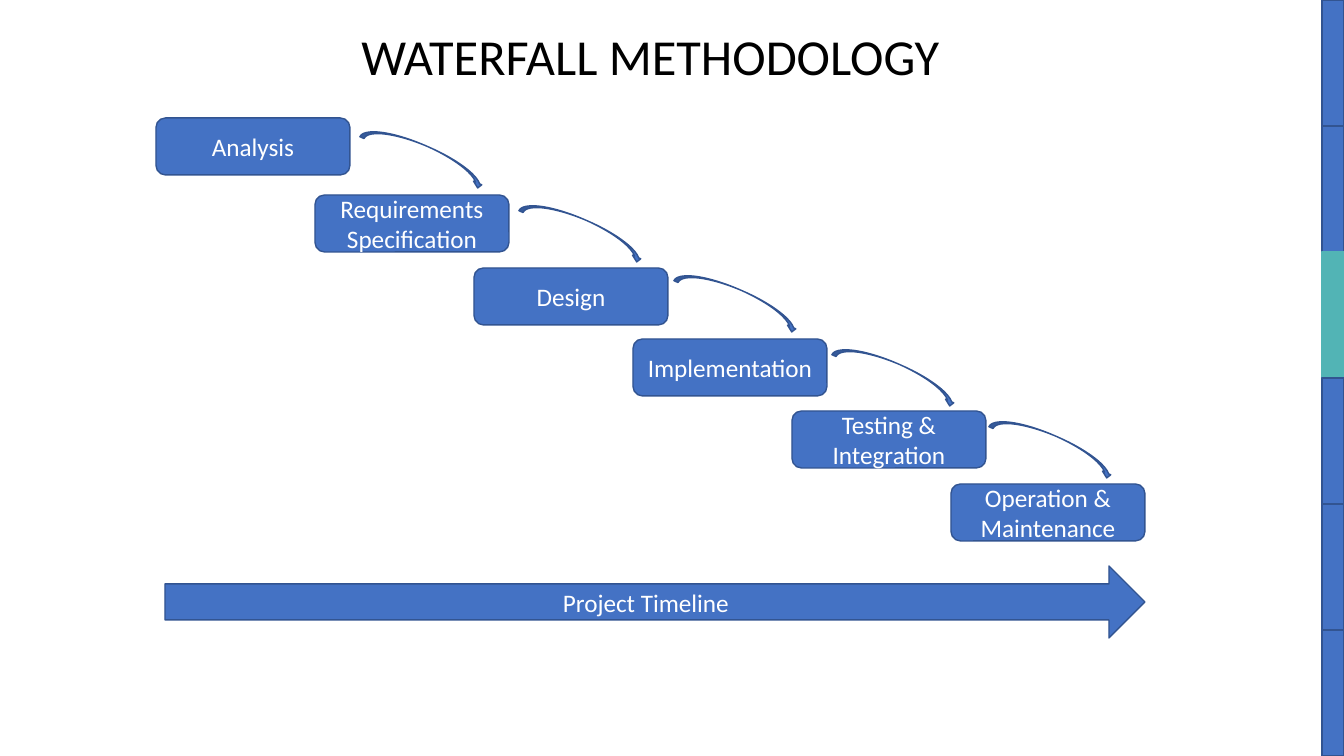
"""Build the waterfall methodology slide."""
from dataclasses import dataclass

from pptx import Presentation
from pptx.dml.color import RGBColor
from pptx.enum.shapes import MSO_SHAPE
from pptx.enum.text import MSO_ANCHOR, MSO_AUTO_SIZE, PP_ALIGN
from pptx.shapes.autoshape import Shape
from pptx.text.text import TextFrame
from pptx.util import Emu, Pt

SLIDE_WIDTH, SLIDE_HEIGHT = 1344, 756
EMU_PER_PX = 12192000 / SLIDE_WIDTH
FONT_NAME = "Calibri"
COLORS = {
    "blue": "4472C4",
    "outline": "325491",
    "teal": "52B4B5",
    "white": "FFFFFF",
    "black": "000000",
}

PHASE_LEFT, PHASE_STEP, PHASE_WIDTH, PHASE_HEIGHT = 156, 159, 194, 57
ARROW_WIDTH, ARROW_HEIGHT, ARROW_ROTATION = 133, 18, 23.5
BAR_LEFT, BAR_COUNT, ACTIVE_BAR = 1322, 6, 2


@dataclass(frozen=True)
class Box:
    left: int
    top: int
    width: int
    height: int


@dataclass(frozen=True)
class Phase:
    name: str
    top: int


@dataclass(frozen=True)
class ArrowPosition:
    left: int
    top: int


PHASES = [
    Phase("Analysis", 118),
    Phase("Requirements\nSpecification", 195),
    Phase("Design", 268),
    Phase("Implementation", 339),
    Phase("Testing &\nIntegration", 411),
    Phase("Operation &\nMaintenance", 484),
]
ARROWS = [
    ArrowPosition(358, 146),
    ArrowPosition(517, 220),
    ArrowPosition(672, 290),
    ArrowPosition(830, 364),
    ArrowPosition(987, 436),
]


def px(length: int) -> Emu:
    return Emu(round(length * EMU_PER_PX))


def color(name: str) -> RGBColor:
    return RGBColor.from_string(COLORS[name])


def write_text(frame: TextFrame, text: str, size: int, color_name: str) -> None:
    frame.text = text
    frame.word_wrap = True
    for paragraph in frame.paragraphs:
        paragraph.alignment = PP_ALIGN.CENTER
        paragraph.font.name = FONT_NAME
        paragraph.font.size = Pt(size)
        paragraph.font.color.rgb = color(color_name)


def add_block(shapes, kind: MSO_SHAPE, box: Box, text: str = "",
              fill: str = "blue", outline: str = "outline") -> Shape:
    shape = shapes.add_shape(kind, px(box.left), px(box.top), px(box.width), px(box.height))
    shape.shadow.inherit = False
    shape.fill.solid()
    shape.fill.fore_color.rgb = color(fill)
    shape.line.color.rgb = color(outline)
    shape.line.width = Pt(1)
    if text:
        write_text(shape.text_frame, text, 18, "white")
        shape.text_frame.vertical_anchor = MSO_ANCHOR.MIDDLE
    return shape


def format_title(title: Shape) -> None:
    title.left, title.top, title.width, title.height = px(156), px(20), px(989), px(72)
    write_text(title.text_frame, "WATERFALL METHODOLOGY", 36, "black")
    title.text_frame.vertical_anchor = MSO_ANCHOR.TOP
    title.text_frame.auto_size = MSO_AUTO_SIZE.NONE


def add_waterfall(shapes) -> None:
    for index, phase in enumerate(PHASES):
        left = PHASE_LEFT + index * PHASE_STEP
        add_block(shapes, MSO_SHAPE.ROUNDED_RECTANGLE,
                  Box(left, phase.top, PHASE_WIDTH, PHASE_HEIGHT), phase.name)
    for position in ARROWS:
        arrow = add_block(shapes, MSO_SHAPE.CURVED_DOWN_ARROW,
                          Box(position.left, position.top, ARROW_WIDTH, ARROW_HEIGHT))
        arrow.rotation = ARROW_ROTATION
    add_block(shapes, MSO_SHAPE.RIGHT_ARROW, Box(165, 566, 980, 72), "Project Timeline")


def add_side_bars(shapes) -> None:
    height = SLIDE_HEIGHT // BAR_COUNT
    for index in range(BAR_COUNT):
        active = index == ACTIVE_BAR
        add_block(shapes, MSO_SHAPE.RECTANGLE,
                  Box(BAR_LEFT, index * height, SLIDE_WIDTH - BAR_LEFT, height),
                  fill="teal" if active else "blue",
                  outline="teal" if active else "outline")


def main() -> None:
    presentation = Presentation()
    presentation.slide_width, presentation.slide_height = px(SLIDE_WIDTH), px(SLIDE_HEIGHT)
    slide = presentation.slides.add_slide(presentation.slide_layouts.get_by_name("Title Only"))
    format_title(slide.shapes.title)
    add_waterfall(slide.shapes.add_group_shape().shapes)
    add_side_bars(slide.shapes)
    presentation.save("out.pptx")


if __name__ == "__main__":
    main()
